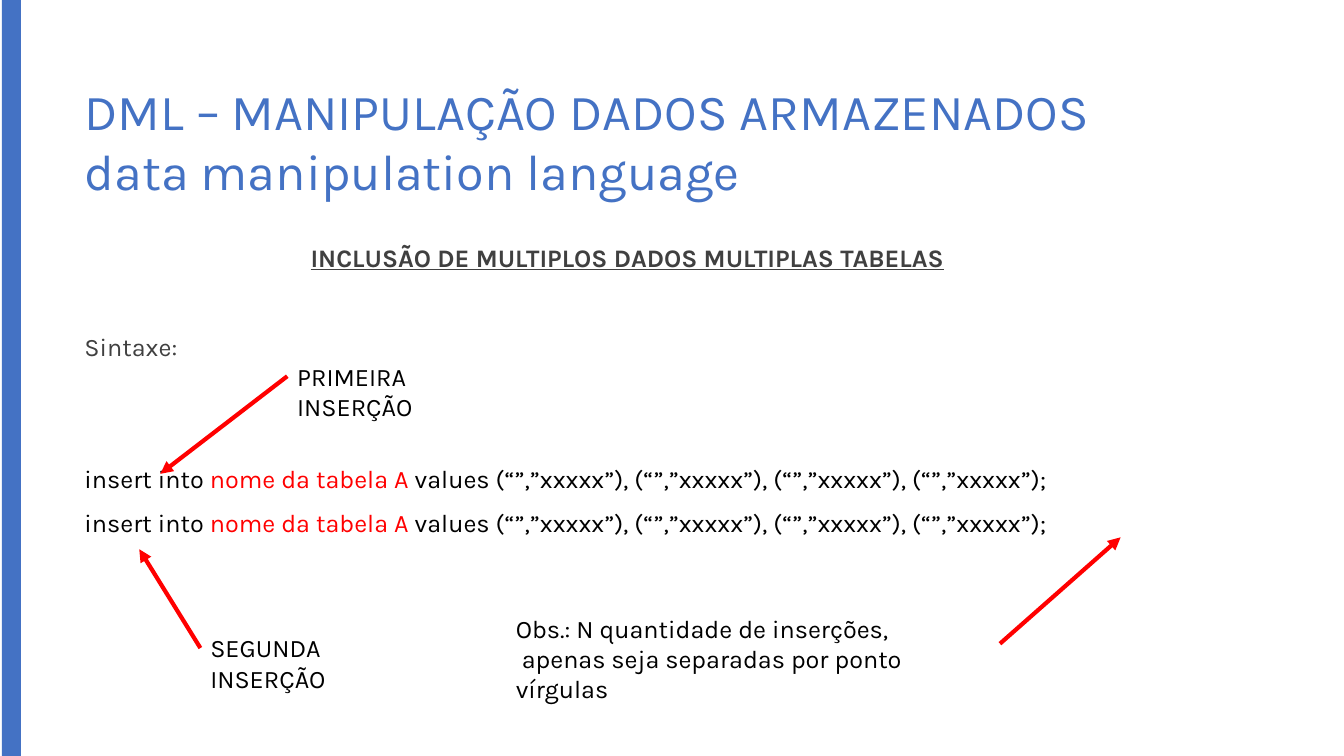
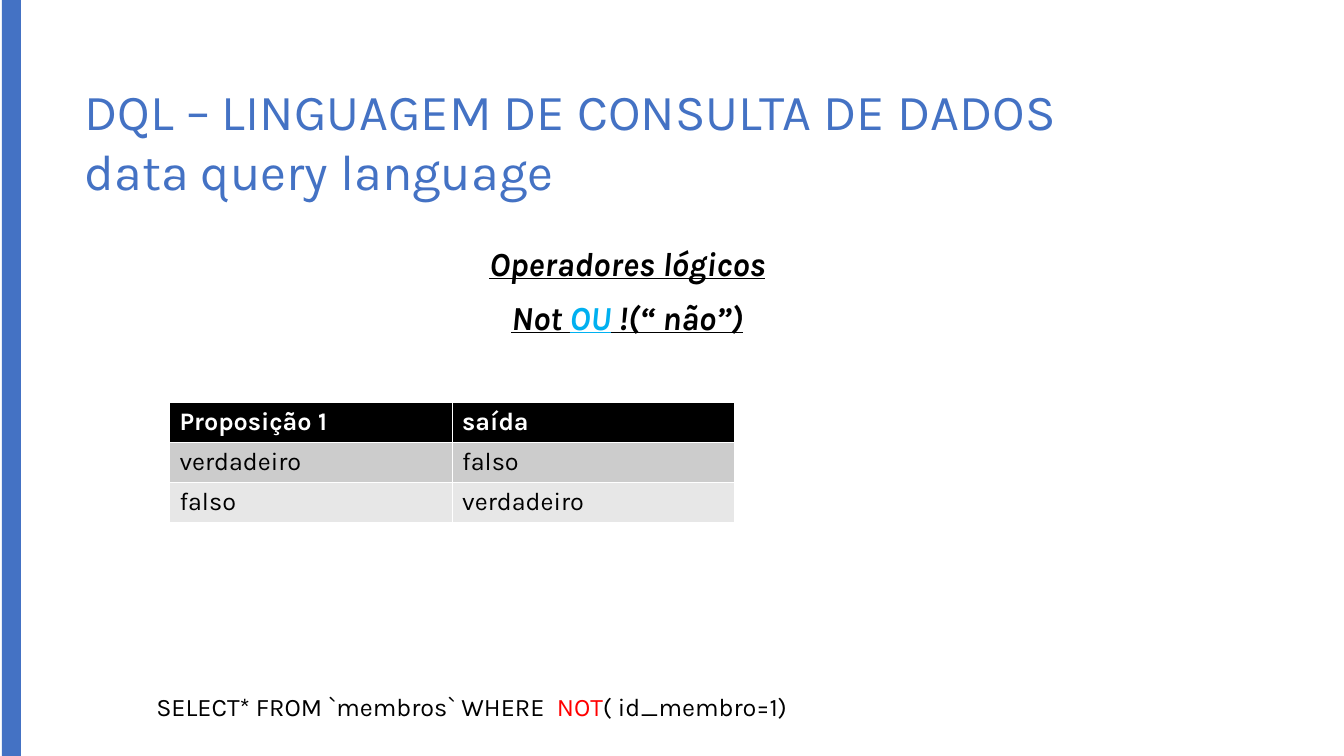
from dataclasses import dataclass

from lxml import etree
from pptx import Presentation
from pptx.dml.color import RGBColor
from pptx.enum import shapes, text
from pptx.oxml import ns
from pptx.util import Cm, Pt


@dataclass(frozen=True)
class Theme:
    font: str = "Karla"
    blue: str = "4472C4"
    sky: str = "00B0F0"
    red: str = "FF0000"
    gray: str = "404040"
    black: str = "000000"
    white: str = "FFFFFF"
    bands: tuple = ("CCCCCC", "E7E7E7")
    title: int = 36
    lead: int = 24
    body: int = 18
    gap: int = 10
    line: int = 3


T = Theme()


def rgb(code):
    return RGBColor.from_string(code)


def box(*sides):
    return [Cm(side) for side in sides]


def write(para, words, size=T.body, color=T.black, bold=False, italic=False, under=False):
    run = para.add_run()
    run.text = words
    font = run.font
    font.name, font.size = T.font, Pt(size)
    font.color.rgb = rgb(color)
    font.bold, font.italic, font.underline = bold, italic, under


def fill(para, parts, **style):
    """Add runs; a part is plain words or a (words, colour) pair."""
    for part in parts:
        if isinstance(part, str):
            write(para, part, **style)
        else:
            write(para, part[0], **{**style, "color": part[1]})


def block(slide, at, lines):
    """Add a text box; each line is (parts, space before, centred, style)."""
    shape = slide.shapes.add_textbox(*box(*at))
    frame = shape.text_frame
    frame.word_wrap = True
    for i, (parts, gap, mid, style) in enumerate(lines):
        para = frame.add_paragraph() if i else frame.paragraphs[0]
        para.space_before = Pt(gap)
        para.alignment = text.PP_ALIGN.CENTER if mid else text.PP_ALIGN.LEFT
        fill(para, parts, **style)
    return shape


def note(slide, at, *lines):
    return block(slide, at, [([line], 0, False, {}) for line in lines])


def arrow(slide, start, side, tip):
    """Draw an arrow from a side of the start shape to the tip."""
    x, y = box(*tip)
    line = slide.shapes.add_connector(shapes.MSO_CONNECTOR.STRAIGHT, x, y, x, y)
    line.begin_connect(start, side)
    line.line.color.rgb = rgb(T.red)
    line.line.width = Pt(T.line)
    etree.SubElement(line.line._get_or_add_ln(), ns.qn("a:tailEnd"), type="triangle")
    etree.SubElement(line.element.spPr, ns.qn("a:effectLst"))


def band(slide):
    """Put the side band on the layout that all slides share."""
    bar = slide.shapes.add_shape(shapes.MSO_SHAPE.RECTANGLE, *box(0.05, 0, 0.48, 19.05))
    bar.shadow.inherit = False
    bar.fill.solid()
    bar.fill.fore_color.rgb = rgb(T.blue)
    bar.line.fill.background()
    bar.element.nvSpPr.cNvPr.set("id", "20")
    slide.slide_layout.shapes.element.insert(2, bar.element)


def page(deck, *lines):
    slide = deck.slides.add_slide(deck.slide_layouts[5])
    title = slide.shapes.title
    title.left, title.top, title.width, title.height = box(1.88, 1.7, 29.39, 3.66)
    frame = title.text_frame
    frame.auto_size = text.MSO_AUTO_SIZE.NONE
    frame.vertical_anchor = text.MSO_ANCHOR.MIDDLE
    para = frame.paragraphs[0]
    para.alignment = text.PP_ALIGN.LEFT
    for i, line in enumerate(lines):
        if i:
            para.add_line_break()
        write(para, line, T.title, T.blue)
    return slide


def grid(slide, at, rows):
    table = slide.shapes.add_table(len(rows), len(rows[0]), *box(*at)).table
    for i, row in enumerate(rows):
        for j, words in enumerate(row):
            cell = table.cell(i, j)
            cell.fill.solid()
            back = T.bands[(i - 1) % 2] if i else T.black
            cell.fill.fore_color.rgb = rgb(back)
            color = T.black if i else T.white
            write(cell.text_frame.paragraphs[0], words, color=color, bold=not i)


BODY = (1.88, 5.99, 27.86, 10.77)


def insert(deck):
    slide = page(deck, "DML – MANIPULAÇÃO DADOS ARMAZENADOS",
                 "data manipulation language")
    code = ["insert into ", ("nome da tabela A ", T.red),
            "values (“”,”xxxxx”), (“”,”xxxxx”), (“”,”xxxxx”), (“”,”xxxxx”);"]
    head = dict(color=T.gray, bold=True, under=True)
    block(slide, BODY, [
        (["INCLUSÃO DE MULTIPLOS DADOS MULTIPLAS TABELAS"], T.gap, True, head),
        (["Sintaxe:"], 41.4, False, dict(color=T.gray)),
        (code, 72.8, False, {}),
        (code, T.gap, False, {}),
    ])
    first = note(slide, (7.24, 8.97, 6.12, 1.02), "PRIMEIRA INSERÇÃO")
    second = note(slide, (5.05, 15.82, 6.12, 1.02), "SEGUNDA INSERÇÃO")
    remark = note(slide, (12.75, 15.32, 12.45, 1.8),
                  "Obs.: N quantidade de inserções,",
                  " apenas seja separadas por ponto vírgulas")
    arrow(slide, first, 1, (4.04, 11.94))
    arrow(slide, second, 1, (3.51, 13.84))
    arrow(slide, remark, 3, (28.24, 13.54))
    return slide


def query(deck):
    slide = page(deck, "DQL – LINGUAGEM DE CONSULTA DE DADOS", "data query language")
    lead = dict(size=T.lead, bold=True, italic=True, under=True)
    block(slide, BODY, [
        (["Operadores lógicos"], T.gap, True, lead),
        (["Not ", ("OU", T.sky), " !(“ não”)"], T.gap, True, lead),
    ])
    grid(slide, (4.27, 10.13, 14.25, 3), [
        ("Proposição 1", "saída"),
        ("verdadeiro", "falso"),
        ("falso", "verdadeiro"),
    ])
    code = ["SELECT* FROM `membros` WHERE  ", ("NOT", T.red), "( id_membro=1)"]
    block(slide, (3.69, 17.3, 24, 1.02), [(code, 0, False, {})])


def main():
    deck = Presentation()
    deck.slide_width, deck.slide_height = box(33.87, 19.05)
    band(insert(deck))
    query(deck)
    deck.save("out.pptx")


if __name__ == "__main__":
    main()
